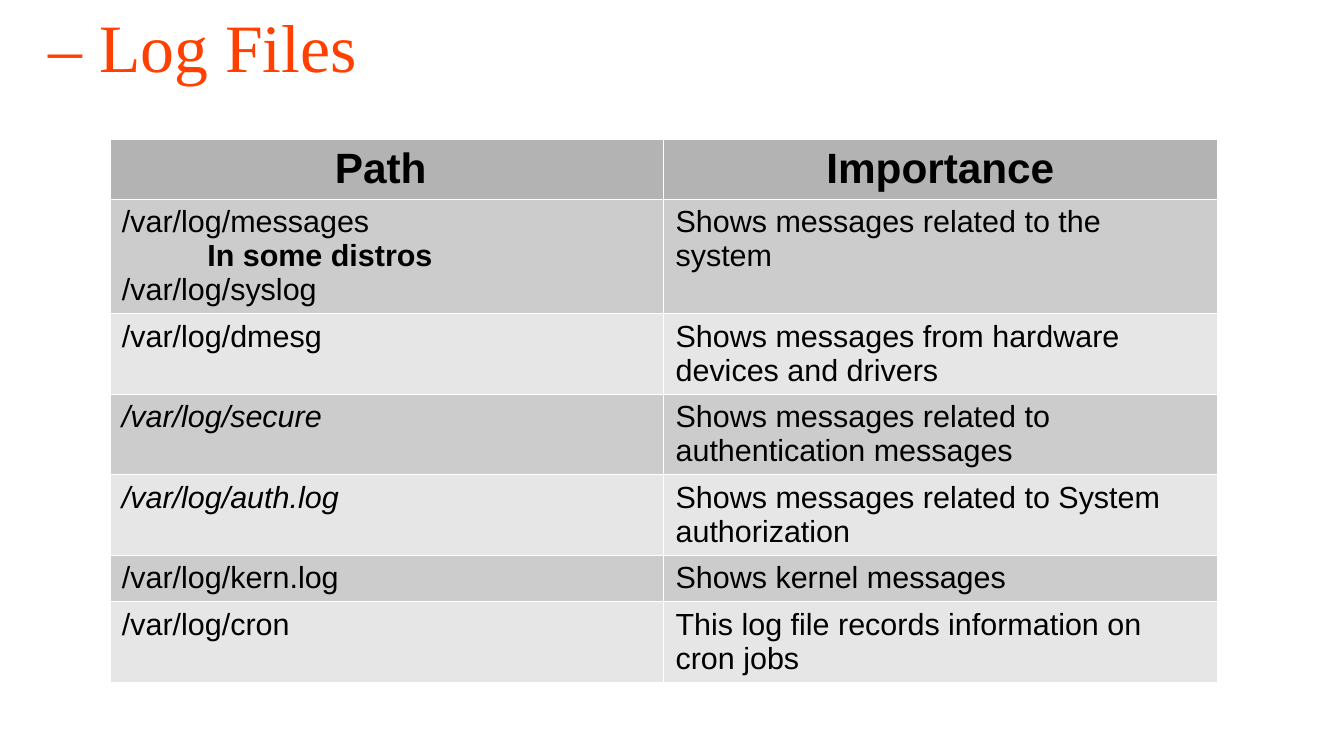
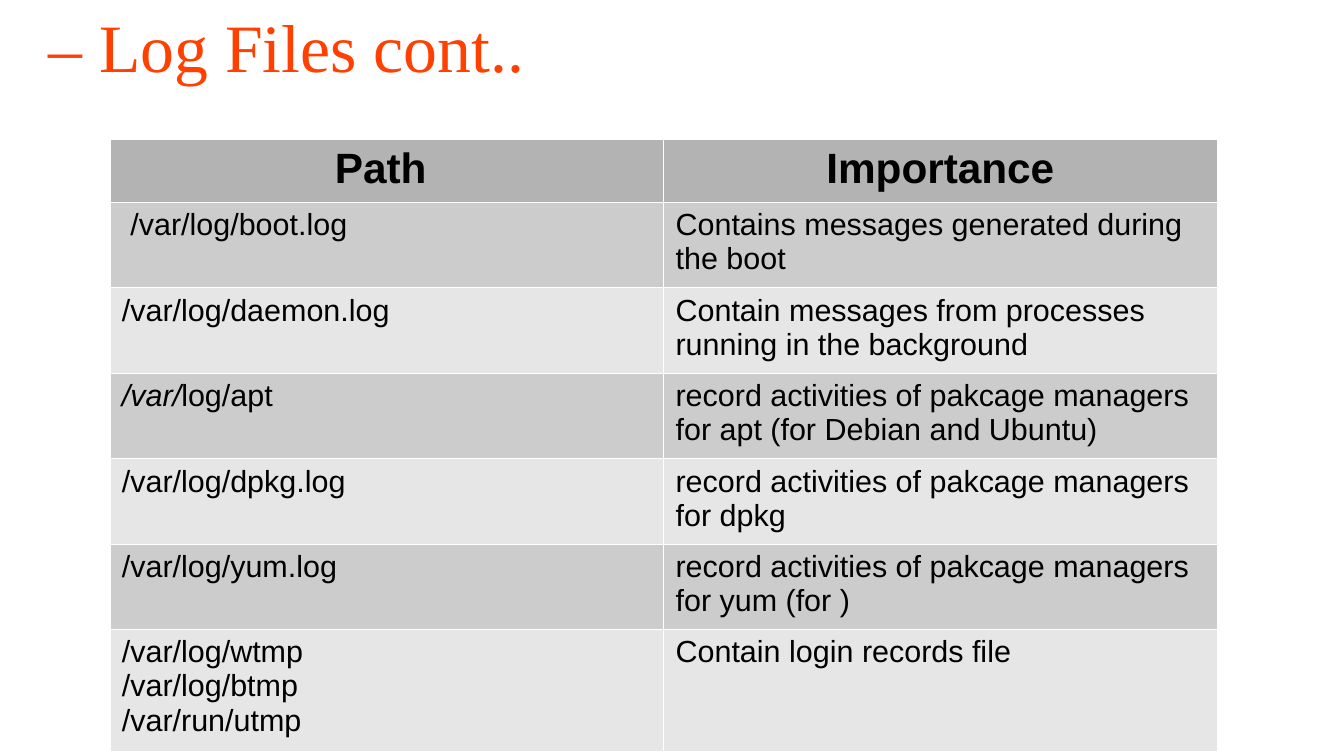
import pptx
import pptx.dml.color
import pptx.enum.text
import pptx.oxml
import pptx.oxml.ns
import pptx.util

Inches = pptx.util.Inches
Pt = pptx.util.Pt
RGBColor = pptx.dml.color.RGBColor
ALIGN = pptx.enum.text.PP_ALIGN

ORANGE = RGBColor(0xFF, 0x40, 0x00)
BLACK = RGBColor(0x00, 0x00, 0x00)
HEADER_GREY = RGBColor(0xB3, 0xB3, 0xB3)
BAND_GREYS = (RGBColor(0xCC, 0xCC, 0xCC), RGBColor(0xE6, 0xE6, 0xE6))

SLIDE_WIDTH, SLIDE_HEIGHT = 11.02, 6.2
TABLE_LEFT, TABLE_TOP, COLUMN_WIDTH = 0.9, 1.14, 4.54
HEADER_HEIGHT, LINE_HEIGHT, ROW_PADDING = 0.49, 0.28, 0.1
HEADINGS = ("Path ", "Importance")

BORDER_XML = (
    '<a:{side} {ns} w="762"><a:solidFill><a:srgbClr val="FFFFFF"/>'
    "</a:solidFill></a:{side}>"
)

PAGES = [
    ("– Log Files", [
        (3, [[("/var/log/messages", "")],
             [("In some distros", "bold")],
             [("/var/log/syslog", "")]],
         "Shows messages related to the system"),
        (2, [[("/var/log/dmesg", "")]],
         "Shows messages from hardware devices and drivers"),
        (2, [[("/var/log/secure", "italic")]],
         "Shows messages related to authentication messages"),
        (2, [[("/var/log/auth.log", "italic")]],
         "Shows messages related to System authorization"),
        (1, [[("/var/log/kern.log", "")]], "Shows kernel messages"),
        (2, [[("/var/log/cron", "")]],
         "This log file records information on cron jobs"),
    ]),
    ("– Log Files cont..", [
        (2, [[(" /var/log/boot.log", "")]],
         "Contains messages generated during the boot"),
        (2, [[("/var/log/daemon.log", "")]],
         "Contain messages from processes running in the background"),
        (2, [[("/var/", "italic"), ("log/apt", "")]],
         "record activities of pakcage managers for apt (for Debian and Ubuntu)"),
        (2, [[("/var/log/dpkg.log", "")]],
         "record activities of pakcage managers for dpkg"),
        (2, [[("/var/log/yum.log", "")]],
         "record activities of pakcage managers for yum (for )"),
        (3, [[("/var/log/wtmp", "")],
             [("/var/log/btmp", "")],
             [("/var/run/utmp", "")]],
         "Contain login records file"),
    ]),
]


def add_span(para, text, font_name, size, color, style=""):
    span = para.add_run()
    span.text = text
    span.font.name = font_name
    span.font.size = Pt(size)
    span.font.color.rgb = color
    span.font.bold = style == "bold"
    span.font.italic = style == "italic"


def fill_cell(cell, paragraphs, size, grey, align):
    properties = cell._tc.get_or_add_tcPr()
    for side in ("lnL", "lnR", "lnT", "lnB"):
        properties.append(pptx.oxml.parse_xml(
            BORDER_XML.format(side=side, ns=pptx.oxml.ns.nsdecls("a"))))
    cell.fill.solid()
    cell.fill.fore_color.rgb = grey
    for index, spans in enumerate(paragraphs):
        frame = cell.text_frame
        para = frame.add_paragraph() if index else frame.paragraphs[0]
        para.alignment = align
        if index and spans[0][1] == "bold":
            para._p.get_or_add_pPr().set("marL", str(Inches(0.7)))
        for text, style in spans:
            add_span(para, text, "Arial", size, BLACK, style)


deck = pptx.Presentation()
deck.slide_width = Inches(SLIDE_WIDTH)
deck.slide_height = Inches(SLIDE_HEIGHT)

for title, entries in PAGES:
    page = deck.slides.add_slide(deck.slide_layouts[6])

    heights = [HEADER_HEIGHT]
    heights += [ROW_PADDING + LINE_HEIGHT * lines for lines, _, _ in entries]
    table = page.shapes.add_table(
        len(heights), len(HEADINGS), Inches(TABLE_LEFT), Inches(TABLE_TOP),
        Inches(COLUMN_WIDTH * len(HEADINGS)), Inches(sum(heights))).table
    table.first_row = True
    table.horz_banding = False
    for column in table.columns:
        column.width = Inches(COLUMN_WIDTH)
    for row, height in zip(table.rows, heights):
        row.height = Inches(height)

    for column, heading in enumerate(HEADINGS):
        fill_cell(table.cell(0, column), [[(heading, "bold")]], 25,
                  HEADER_GREY, ALIGN.CENTER)
    for index, (_, paths, importance) in enumerate(entries):
        grey = BAND_GREYS[index % 2]
        for column, paragraphs in enumerate((paths, [[(importance, "")]])):
            fill_cell(table.cell(index + 1, column), paragraphs, 18,
                      grey, ALIGN.LEFT)

    box = page.shapes.add_textbox(
        Inches(0.3), Inches(-0.01), Inches(5.7), Inches(0.71))
    box.text_frame.word_wrap = True
    add_span(box.text_frame.paragraphs[0], title, "Times New Roman", 40, ORANGE)

deck.save("out.pptx")
